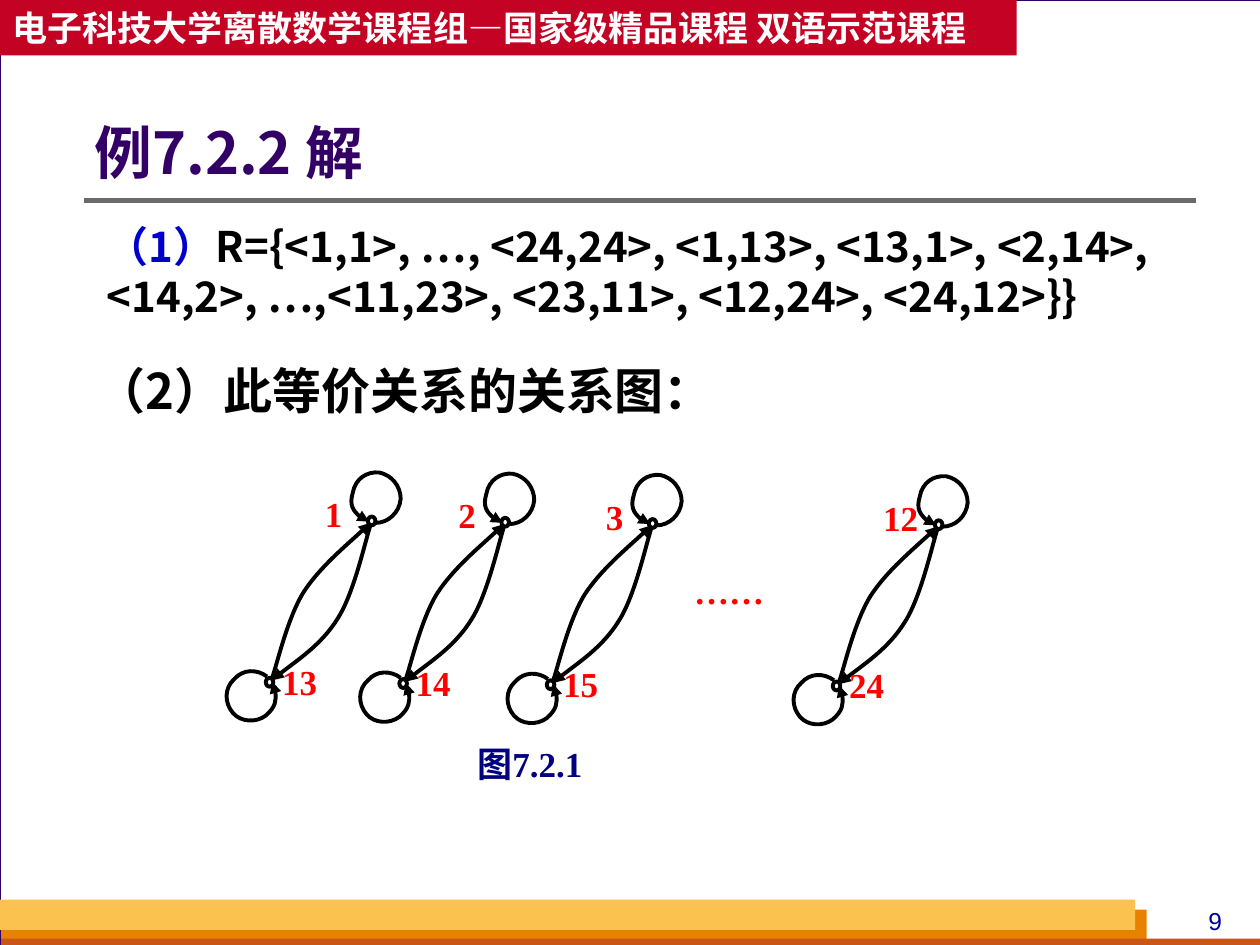
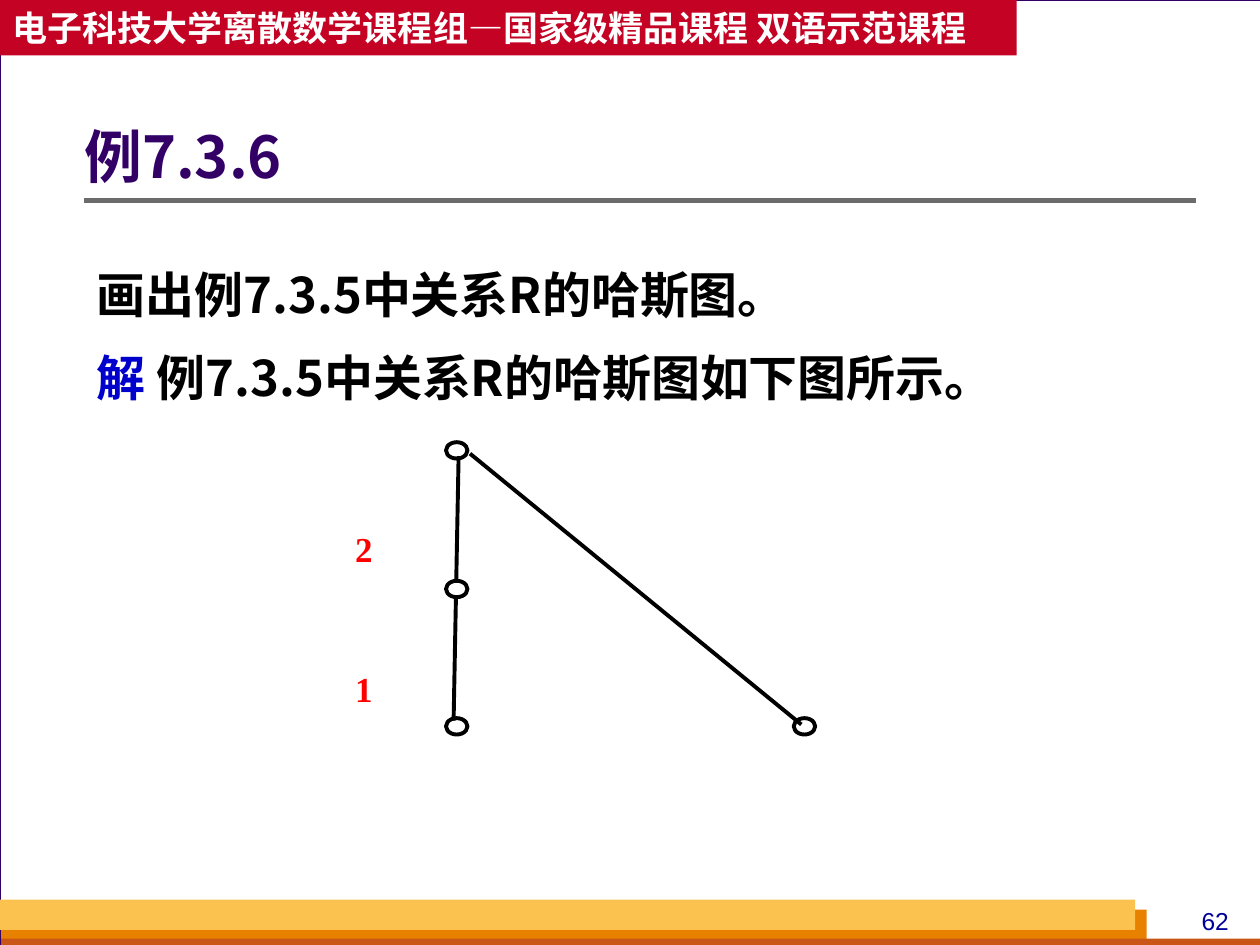
from lxml import etree
from pptx import Presentation
from pptx import util as u
from pptx.dml.color import RGBColor
from pptx.enum import shapes, text
from pptx.oxml.ns import qn

PX = 9144  # EMU per px, 100 px to the inch
COLORS = {
    "backdrop": "D8DADA", "white": "FFFFFF", "title": "330066", "black": "000000",
    "banner": "C30224", "rule": "6B6B6B", "gold": "FCC24F", "orange": "E88000",
    "rust": "C95616", "number": "000099", "blue": "0000CC", "navy": "000080",
    "red": "FF0000",
}
SANS, SERIF, ARIAL = "Noto Sans CJK SC", "Times New Roman", "Arial"
HEADING = {"size": 33, "name": SANS, "color": "title", "bold": True}
BODY = {"size": 28, "name": SANS, "color": "black", "bold": True}
FORMULA = {**BODY, "size": 24}
LABEL = {"size": 20, "name": SERIF, "color": "red", "bold": True}
CAPTION = {**LABEL, "color": "navy"}
BANNER = {"size": 20, "name": SANS, "color": "white", "bold": True}
NUMBER = {"size": 14, "name": ARIAL, "color": "number", "bold": False}


def rgb(name):
    return RGBColor.from_string(COLORS[name])


class Deck:
    """Holds the style and the current slide; all lengths are in px."""

    def __init__(self, width, height):
        self.prs = Presentation()
        self.prs.slide_width, self.prs.slide_height = width * PX, height * PX
        backdrop = self.prs.slide_master.background.fill
        backdrop.solid()
        backdrop.fore_color.rgb = rgb("backdrop")

    def page(self, title, title_box, number):
        self.slide = self.prs.slides.add_slide(self.prs.slide_layouts[5])
        # Frame and footer bands
        self.shape((0, 0, 1001, 750), fill="white", line="title", weight=0.75)
        self.shape((1, 722, 909, 28), fill="orange")
        self.shape((1, 745, 1000, 8), fill="rust")
        self.shape((0, 714, 901, 24), fill="gold")
        self.text((933, 714, 63, 34), [[(number, NUMBER)]], align=text.PP_ALIGN.CENTER)
        # Title rule and course banner
        self.line((67, 159), (949, 159), "rule", 3)
        banner = self.shape((0, 0, 807, 44), fill="banner")
        self.fill_frame(banner.text_frame,
                        [[("电子科技大学离散数学课程组—国家级精品课程 双语示范课程", BANNER)]],
                        anchor=text.MSO_ANCHOR.MIDDLE, wrap=False)
        # Title, brought in front of the frame
        heading = self.slide.shapes.title
        heading.element.getparent().append(heading.element)
        heading.left, heading.top, heading.width, heading.height = [v * PX for v in title_box]
        self.fill_frame(heading.text_frame, [[(title, HEADING)]], left=0, spacing=0.9,
                        anchor=text.MSO_ANCHOR.MIDDLE)

    def fill_frame(self, frame, paragraphs, anchor=text.MSO_ANCHOR.TOP, wrap=True, left=10,
                   align=text.PP_ALIGN.LEFT, spacing=1.0, before=0):
        settings = {"margin_left": left * PX, "margin_right": 10 * PX, "margin_top": 5 * PX,
                    "margin_bottom": 5 * PX, "vertical_anchor": anchor, "word_wrap": wrap,
                    "auto_size": text.MSO_AUTO_SIZE.NONE}
        for key, value in settings.items():
            setattr(frame, key, value)
        for i, runs in enumerate(paragraphs):
            para = frame.add_paragraph() if i else frame.paragraphs[0]
            para.alignment, para.line_spacing = align, spacing
            para.space_before = u.Pt(before if i else 0)
            for words, style in runs:
                run = para.add_run()
                run.text = words
                for key in ("name", "bold"):
                    setattr(run.font, key, style[key])
                run.font.size = u.Pt(style["size"])
                run.font.color.rgb = rgb(style["color"])
                etree.SubElement(run.font._element, qn("a:ea"), typeface=SANS)

    def text(self, box, paragraphs, **options):
        area = self.slide.shapes.add_textbox(*[v * PX for v in box])
        self.fill_frame(area.text_frame, paragraphs, **options)

    def paint(self, shape, fill=None, line=None, weight=2.25):
        shape.shadow.inherit = False
        if fill:
            shape.fill.solid()
            shape.fill.fore_color.rgb = rgb(fill)
        else:
            shape.fill.background()
        if line:
            shape.line.color.rgb = rgb(line)
            shape.line.width = u.Pt(weight)
        else:
            shape.line.fill.background()
        return shape

    def shape(self, box, kind=shapes.MSO_SHAPE.RECTANGLE, **look):
        return self.paint(self.slide.shapes.add_shape(kind, *[v * PX for v in box]), **look)

    def node(self, box, fill=None):
        self.shape(box, shapes.MSO_SHAPE.OVAL, fill=fill, line="black")

    def line(self, start, end, color="black", weight=2.25):
        link = self.slide.shapes.add_connector(
            shapes.MSO_CONNECTOR.STRAIGHT, *[v * PX for v in start + end])
        link.line.color.rgb = rgb(color)
        link.line.width = u.Pt(weight)
        etree.SubElement(link.element.spPr, qn("a:effectLst"))

    def curved_arrow(self, points, dx, dy):
        """Start point, then two handles and an end point for each Bézier piece."""
        start, *rest = [(x + dx, y + dy) for x, y in points]
        builder = self.slide.shapes.build_freeform(*start, scale=PX)
        builder.add_line_segments(rest, close=False)
        arrow = self.paint(builder.convert_to_shape(), line="black")
        outline = next(arrow.element.iter(qn("a:path")))
        segments = outline.findall(qn("a:lnTo"))
        for i in range(0, len(segments), 3):
            bezier = etree.SubElement(outline, qn("a:cubicBezTo"))
            for segment in segments[i:i + 3]:
                bezier.append(segment[0])
                outline.remove(segment)
        ln = arrow.element.spPr.find(qn("a:ln"))
        etree.SubElement(ln, qn("a:tailEnd"), type="triangle")


# Arrows of one equivalence class, placed for the pair 1 and 13
PAIR_ARROWS = [
    # down and up between the two nodes
    [(294, 417), (290, 429), (281, 471), (268, 491), (255, 512), (227, 530), (216, 540)],
    [(216, 538), (220, 527), (228, 491), (241, 470), (254, 450), (283, 426), (294, 415)],
    # loops at the upper and the lower node
    [(298, 415), (308, 415), (317, 407), (318, 396), (318, 386), (311, 377), (301, 375),
     (291, 374), (282, 380), (280, 391), (277, 401), (283, 411), (293, 414)],
    [(212, 537), (204, 531), (193, 531), (186, 539), (178, 546), (178, 558), (185, 566),
     (191, 573), (203, 574), (211, 568), (219, 561), (221, 550), (216, 541)],
]
# Upper number, horizontal shift, left edge of the upper label
PAIRS = [(1, 0, 248), (2, 106, 354), (3, 223, 471), (12, 450, 691)]


def relation_graph(deck):
    deck.page("例7.2.2 解", (75, 84, 825, 79), "9")
    deck.text((67, 281, 748, 57), [[("（2）此等价关系的关系图：", BODY)]])
    deck.text((75, 170, 886, 90), [[
        ("（1）", {**FORMULA, "color": "blue"}),
        ("R={<1,1>, …, <24,24>, <1,13>, <13,1>, <2,14>, <14,2>, …,"
         "<11,23>, <23,11>, <12,24>, <24,12>}}", FORMULA)]])
    # Graph: each pair sits slightly lower than the one before
    for dy, (number, dx, label_left) in enumerate(PAIRS):
        for left, top in ((292, 410), (211, 538)):
            deck.node((left + dx, top + dy, 6, 7))
        for points in PAIR_ARROWS:
            deck.curved_arrow(points, dx, dy)
        deck.text((label_left, 386 + dy, 61, 55), [[(str(number), LABEL)]])
        deck.text((214 + dx, 519 + dy, 61, 55), [[(str(number + 12), LABEL)]])
    deck.text((369, 584, 163, 73), [[("图7.2.1", CAPTION)]])
    deck.text((541, 447, 102, 73), [[("……", LABEL)]])


def hasse_diagram(deck):
    deck.page("例7.3.6", (67, 76, 882, 101), "62")
    deck.text((67, 196, 882, 502), [
        [("画出例7.3.5中关系R的哈斯图。", BODY)],
        [("解", {**BODY, "color": "blue"}), (" 例7.3.5中关系R的哈斯图如下图所示。", BODY)],
    ], spacing=1.2, before=7)
    # Diagram: edges first, then nodes on top
    deck.line((373, 360), (636, 575))
    deck.line((364, 362), (360, 572))
    for number, top in (("1", 525), ("2", 414)):
        deck.text((272, top, 110, 109), [[(number, LABEL)]])
    for left, top, fill in ((354, 570, None), (354, 351, None),
                            (354, 461, "white"), (630, 570, None)):
        deck.node((left, top, 17, 13), fill)


def main():
    deck = Deck(1000, 750)
    relation_graph(deck)
    hasse_diagram(deck)
    deck.prs.save("out.pptx")


if __name__ == "__main__":
    main()
